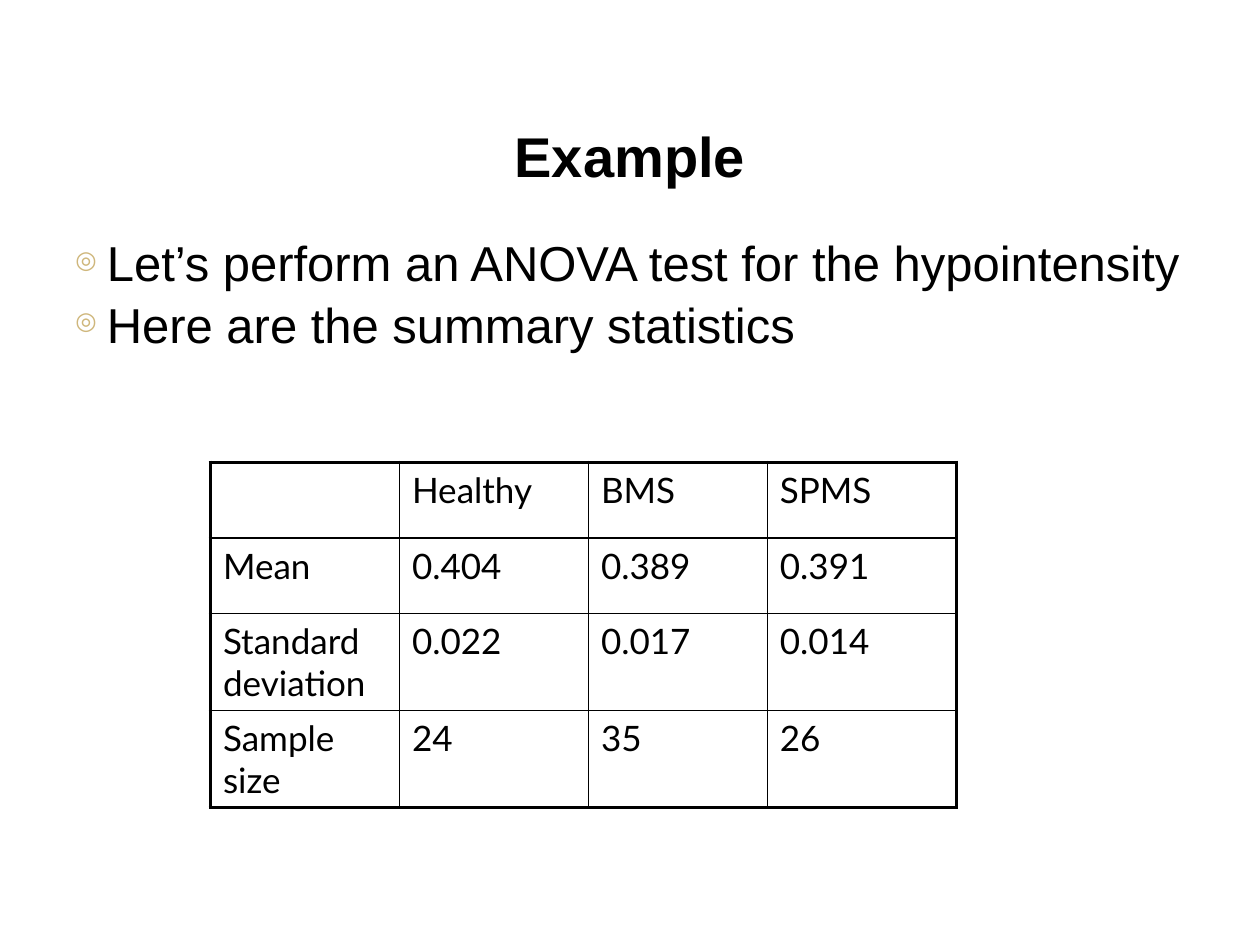
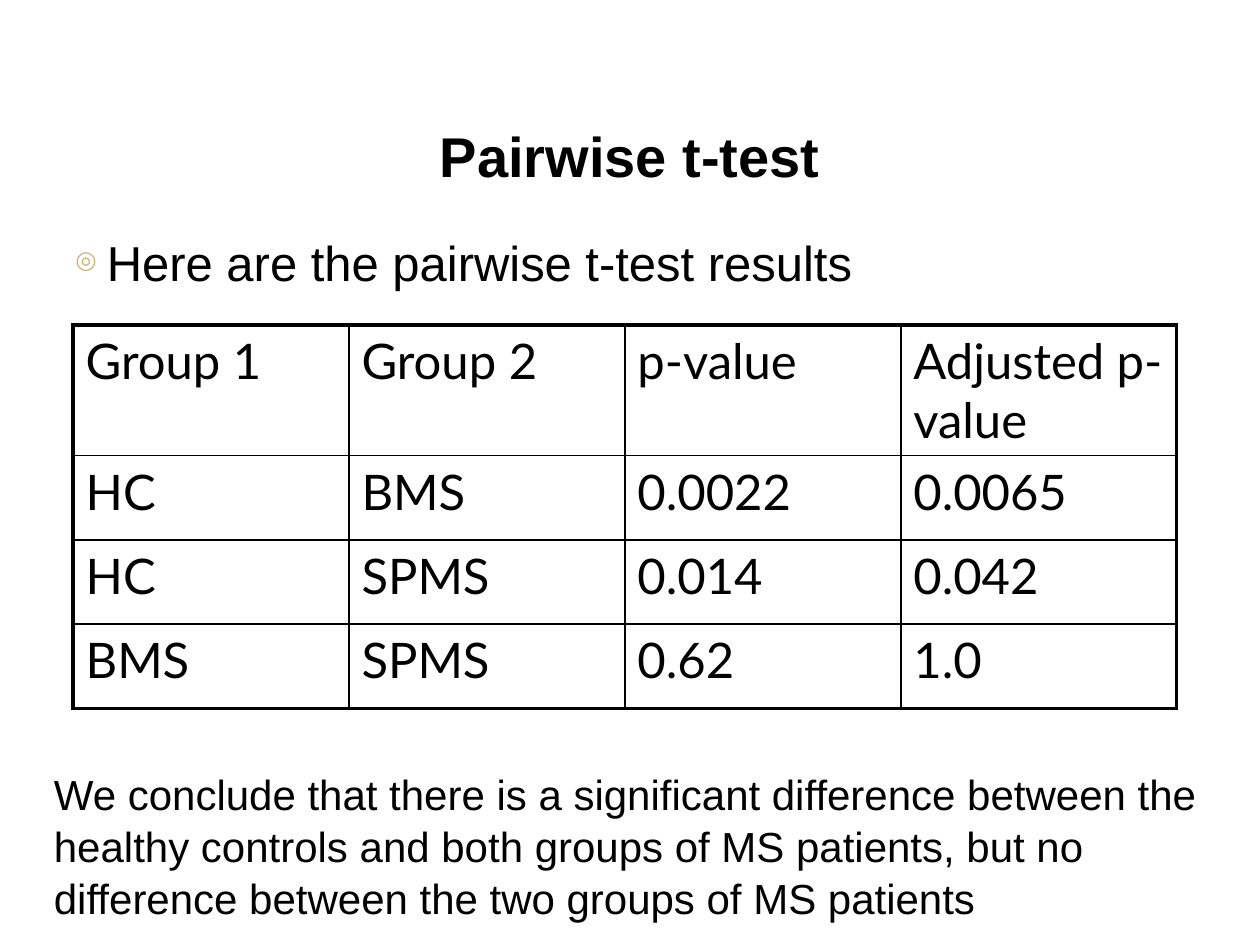
from dataclasses import dataclass

from lxml.etree import SubElement
from pptx import Presentation
from pptx.dml.color import RGBColor
from pptx.enum.text import MSO_ANCHOR, PP_ALIGN
from pptx.oxml.ns import qn
from pptx.util import Inches, Pt

CENTER, LEFT = PP_ALIGN.CENTER, PP_ALIGN.LEFT
TOP, BOTTOM = MSO_ANCHOR.TOP, MSO_ANCHOR.BOTTOM
INK, GOLD = "000000", "CFB77C"
TEXT_FONT, TABLE_FONT = "Arial", "Lato"
OUTER_BORDER, INNER_BORDER = 2.25, 1


@dataclass
class Box:
    left: float
    top: float
    width: float
    height: float


@dataclass
class StatsTable:
    left: float
    top: float
    col_widths: list[float]
    row_heights: list[float]
    size: int
    rows: list[list[str]]


@dataclass
class TextStyle:
    size: int
    bold: bool = False
    align: PP_ALIGN = LEFT
    anchor: MSO_ANCHOR = TOP
    bullet: str = ""
    line_spacing: float = 1.0
    top_inset: float = 0.05


TITLE_BOX = Box(0.5, 0.3, 9, 1.25)
BODY_BOX = Box(0.5, 1.75, 9, 4.92)
CONCLUSION_BOX = Box(0.33, 6, 9.33, 1.3)
TITLE = TextStyle(32, bold=True, align=CENTER, anchor=BOTTOM)
BODY = TextStyle(28, bullet="◎", line_spacing=1.04, top_inset=0.08)
CONCLUSION = TextStyle(24, line_spacing=1.04, top_inset=0.08)

SUMMARY = StatsTable(
    1.67, 3.67, [1.5, 1.5, 1.42, 1.5], [0.6, 0.6, 0.77, 0.77], 20,
    [
        ["", "Healthy", "BMS", "SPMS"],
        ["Mean", "0.404", "0.389", "0.391"],
        ["Standard deviation", "0.022", "0.017", "0.014"],
        ["Sample size", "24", "35", "26"],
    ],
)
PAIRWISE = StatsTable(
    0.58, 2.58, [2.19] * 4, [1.03] + [0.67] * 3, 28,
    [
        ["Group 1", "Group 2", "p-value", "Adjusted p-value"],
        ["HC", "BMS", "0.0022", "0.0065"],
        ["HC", "SPMS", "0.014", "0.042"],
        ["BMS", "SPMS", "0.62", "1.0"],
    ],
)


def rgb(value: str) -> RGBColor:
    return RGBColor.from_string(value)


def set_font(paragraph, name: str, size: int, bold: bool = False) -> None:
    font = paragraph.font
    font.name, font.size, font.bold = name, Pt(size), bold
    font.color.rgb = rgb(INK)


def add_bullet(paragraph, symbol: str) -> None:
    """Give the paragraph a half-size gold bullet with a hanging indent."""
    props = paragraph._p.get_or_add_pPr()
    props.set("marL", str(Inches(0.25)))
    props.set("indent", str(Inches(-0.25)))
    SubElement(SubElement(props, qn("a:buClr")), qn("a:srgbClr"), val=GOLD)
    SubElement(props, qn("a:buSzPct"), val="50000")
    SubElement(props, qn("a:buChar"), char=symbol)


def add_text(slide, box: Box, lines: list[str], style: TextStyle) -> None:
    frame = slide.shapes.add_textbox(
        Inches(box.left), Inches(box.top), Inches(box.width), Inches(box.height)
    ).text_frame
    frame.word_wrap = True
    frame.vertical_anchor = style.anchor
    frame.margin_top = Inches(style.top_inset)
    for index, line in enumerate(lines):
        paragraph = frame.add_paragraph() if index else frame.paragraphs[0]
        paragraph.text = line
        if style.bullet:
            add_bullet(paragraph, style.bullet)
        paragraph.alignment = style.align
        paragraph.line_spacing = style.line_spacing
        set_font(paragraph, TEXT_FONT, style.size, style.bold)


def add_borders(cell, outer_sides: dict[str, bool]) -> None:
    """Draw the four cell borders, thicker on the table's outer edge."""
    props = cell._tc.get_or_add_tcPr()
    for side, is_outer in outer_sides.items():
        width = Pt(OUTER_BORDER if is_outer else INNER_BORDER)
        border = SubElement(props, qn(f"a:ln{side}"), w=str(width))
        SubElement(SubElement(border, qn("a:solidFill")), qn("a:srgbClr"), val=INK)


def add_stats_table(slide, stats: StatsTable) -> None:
    row_count, col_count = len(stats.row_heights), len(stats.col_widths)
    table = slide.shapes.add_table(
        row_count, col_count, Inches(stats.left), Inches(stats.top),
        Inches(sum(stats.col_widths)), Inches(sum(stats.row_heights)),
    ).table
    table.first_row = table.horz_banding = False
    for column, width in zip(table.columns, stats.col_widths):
        column.width = Inches(width)
    for row, height in zip(table.rows, stats.row_heights):
        row.height = Inches(height)
    for r, values in enumerate(stats.rows):
        for c, value in enumerate(values):
            cell = table.cell(r, c)
            cell.text = value
            set_font(cell.text_frame.paragraphs[0], TABLE_FONT, stats.size)
            add_borders(cell, {
                "L": c == 0, "R": c == col_count - 1,
                "T": r == 0, "B": r == row_count - 1,
            })
            cell.fill.background()


def add_stats_slide(deck, title: str, points: list[str], stats: StatsTable):
    slide = deck.slides.add_slide(deck.slide_layouts[6])
    add_text(slide, TITLE_BOX, [title], TITLE)
    add_text(slide, BODY_BOX, points, BODY)
    add_stats_table(slide, stats)
    return slide


def main() -> None:
    deck = Presentation()
    deck.slide_width, deck.slide_height = Inches(10), Inches(7.5)
    add_stats_slide(deck, "Example", [
        "Let’s perform an ANOVA test for the hypointensity",
        "Here are the summary statistics",
    ], SUMMARY)
    pairwise = add_stats_slide(
        deck, "Pairwise t-test", ["Here are the pairwise t-test results"], PAIRWISE
    )
    add_text(pairwise, CONCLUSION_BOX, [
        "We conclude that there is a significant difference between the healthy "
        "controls and both groups of MS patients, but no difference between the "
        "two groups of MS patients"
    ], CONCLUSION)
    deck.save("out.pptx")


if __name__ == "__main__":
    main()
